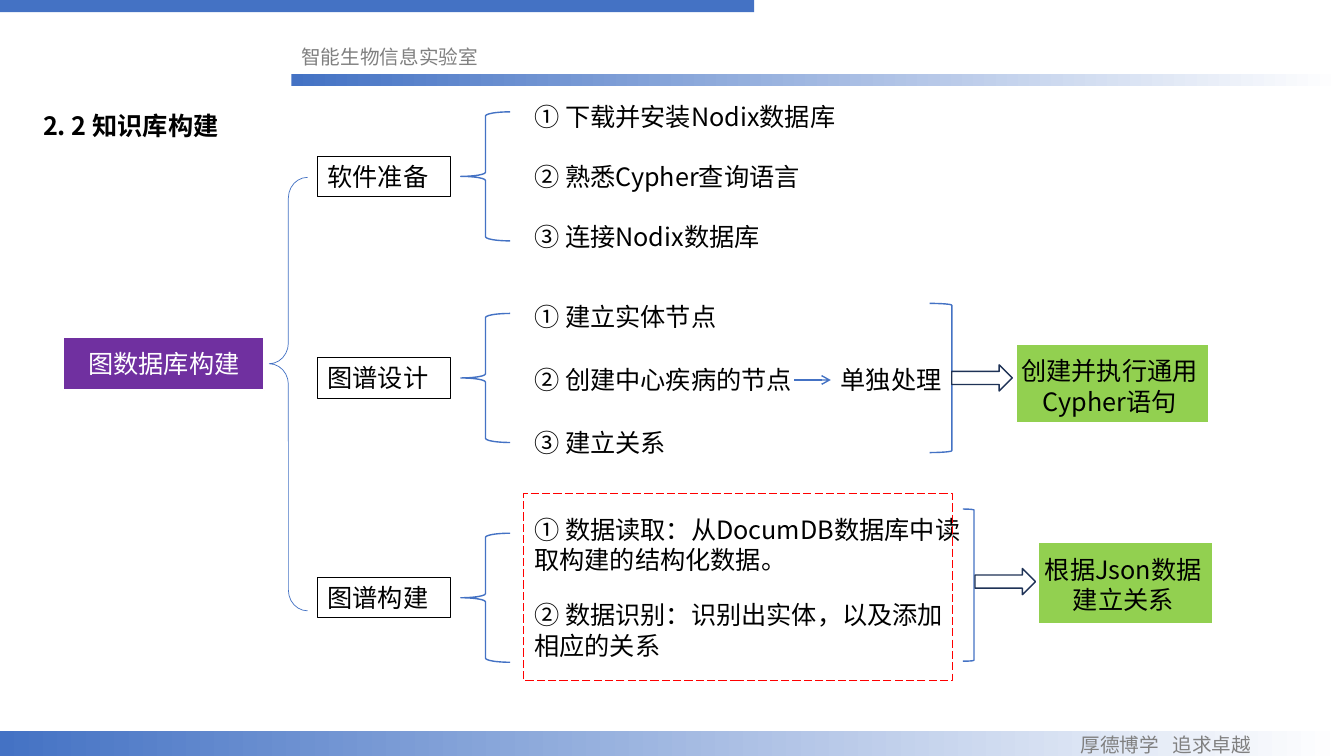
from lxml.etree import SubElement
from pptx import Presentation
from pptx.dml.color import RGBColor
from pptx.enum.dml import MSO_LINE
from pptx.enum.shapes import MSO_CONNECTOR, MSO_SHAPE
from pptx.enum.text import MSO_ANCHOR, MSO_AUTO_SIZE, PP_ALIGN
from pptx.oxml.ns import qn
from pptx.util import Inches, Pt

FONT = "Noto Sans CJK SC"
BLUE, WHITE, BLACK, GRAY = "4472C4", "FFFFFF", "000000", "808080"
PURPLE, GREEN, NAVY, RED = "7030A0", "92D050", "1E3256", "FF0000"

LINE_HEIGHT = 0.4
TWO_LINES = 0.71
ITEM_LEFT = 5.2
BRACE_RISE = 0.44

GRADIENT_BARS = [(2.89, 0.73, 10.42, 0.12), (0, 7.25, 13.33, 0.28)]
MASTHEADS = [
    ("智能生物信息实验室", (2.89, 0.4, 1.97, 0.34)),
    ("厚德博学   追求卓越", (10.62, 7.22, 1.95, 0.34)),
]
TITLE = ("2. 2 知识库构建", (0.33, 1.05, 2.07, LINE_HEIGHT))
ROOT = ("图数据库构建", (0.63, 3.35, 1.99, 0.52))
STAGES = [
    ("软件准备", 1.55, [
        ("① 下载并安装Nodix数据库", 0.96, 3.2, LINE_HEIGHT),
        ("② 熟悉Cypher查询语言", 1.55, 2.87, LINE_HEIGHT),
        ("③ 连接Nodix数据库", 2.15, 2.54, LINE_HEIGHT),
    ]),
    ("图谱设计", 3.55, [
        ("① 建立实体节点", 2.94, 2.22, LINE_HEIGHT),
        ("② 创建中心疾病的节点", 3.57, 2.81, LINE_HEIGHT),
        ("③ 建立关系", 4.19, 1.72, LINE_HEIGHT),
    ]),
    ("图谱构建", 5.73, [
        ("① 数据读取：从DocumDB数据库中读取构建的结构化数据。", 5.05, 4.44, TWO_LINES),
        ("② 数据识别：识别出实体，以及添加相应的关系", 5.9, 4.47, TWO_LINES),
    ]),
]
SPECIAL_CASE = ("单独处理", (8.24, 3.57, 1.5, LINE_HEIGHT))
RESULTS = [
    ("创建并执行通用Cypher语句", (9.22, 3.01, 0.22, 1.48), (9.44, 3.62),
     (10.08, 3.42, 1.91, 0.77), (10.03, 3.48, 1.95, TWO_LINES)),
    ("根据Json数据建立关系", (9.55, 5.05, 0.11, 1.51), (9.67, 5.64),
     (10.3, 5.38, 1.73, 0.81), (10.25, 5.45, 1.78, TWO_LINES)),
]
DASHED_FRAME = (5.19, 4.9, 4.26, 1.85)

presentation = Presentation()
presentation.slide_width = Inches(13.33)
presentation.slide_height = Inches(7.5)
slide = presentation.slides.add_slide(presentation.slide_layouts[6])


def color(value):
    return RGBColor.from_string(value)


def inches(box):
    return [Inches(length) for length in box]


def add_shape(kind, box, fill=None, line=None, width=1, shapes=slide.shapes):
    shape = shapes.add_shape(kind, *inches(box))
    shape.shadow.inherit = False
    if fill:
        shape.fill.solid()
        shape.fill.fore_color.rgb = color(fill)
    else:
        shape.fill.background()
    if line:
        shape.line.color.rgb = color(line)
        shape.line.width = Pt(width)
    else:
        shape.line.fill.background()
    return shape


def write(shape, text, size=18, font_color=BLACK, bold=False,
          align=PP_ALIGN.LEFT, anchor=MSO_ANCHOR.TOP, wrap=True, grow=True):
    frame = shape.text_frame
    frame.text = text
    frame.word_wrap = wrap
    frame.vertical_anchor = anchor
    frame.auto_size = MSO_AUTO_SIZE.SHAPE_TO_FIT_TEXT if grow else MSO_AUTO_SIZE.NONE
    paragraph = frame.paragraphs[0]
    paragraph.alignment = align
    for run in paragraph.runs:
        run.font.name = FONT
        run.font.size = Pt(size)
        run.font.bold = bold
        run.font.color.rgb = color(font_color)
        SubElement(run.font._element, qn("a:ea"), typeface=FONT)


def add_text(text, box, shapes=slide.shapes, **style):
    textbox = shapes.add_textbox(*inches(box))
    write(textbox, text, **style)
    return textbox


add_shape(MSO_SHAPE.RECTANGLE, (0, 0, 7.48, 0.12), BLUE)
for box in GRADIENT_BARS:
    bar = add_shape(MSO_SHAPE.RECTANGLE, box)
    bar.fill.gradient()
    bar.fill.gradient_angle = 0
    for stop, shade in zip(bar.fill.gradient_stops, (BLUE, WHITE)):
        stop.color.rgb = color(shade)
for text, box in MASTHEADS:
    add_text(text, box, size=14, font_color=GRAY, align=PP_ALIGN.JUSTIFY, wrap=False)

add_text(*TITLE, bold=True)
root_text, root_box = ROOT
root = add_shape(MSO_SHAPE.RECTANGLE, root_box, PURPLE, WHITE)
write(root, root_text, font_color=WHITE, align=PP_ALIGN.CENTER,
      anchor=MSO_ANCHOR.MIDDLE, grow=False)
root_brace = add_shape(MSO_SHAPE.LEFT_BRACE, (2.67, 1.76, 0.38, 4.3), line=BLUE, width=0.5)
root_brace.adjustments[0] = 0.54
root_brace.adjustments[1] = 0.43

for name, top, items in STAGES:
    label = add_shape(MSO_SHAPE.RECTANGLE, (3.15, top, 1.32, LINE_HEIGHT),
                      line=BLACK, width=0.75)
    write(label, name)
    add_shape(MSO_SHAPE.LEFT_BRACE, (4.57, top - BRACE_RISE, 0.49, 1.28), line=BLUE)
    for text, item_top, width, height in items:
        add_text(text, (ITEM_LEFT, item_top, width, height))

special_case = add_text(*SPECIAL_CASE)
pointer = slide.shapes.add_connector(
    MSO_CONNECTOR.STRAIGHT, *inches((7.88, 3.77, 8.24, 3.77)))
pointer.end_connect(special_case, 1)
pointer.line.color.rgb = color(BLUE)
pointer.line.width = Pt(1)
SubElement(pointer.line._get_or_add_ln(), qn("a:tailEnd"), type="arrow")
SubElement(pointer._element.spPr, qn("a:effectLst"))

for text, bracket_box, arrow_corner, panel_box, text_box in RESULTS:
    add_shape(MSO_SHAPE.RIGHT_BRACKET, bracket_box, line=BLUE)
    add_shape(MSO_SHAPE.RIGHT_ARROW, (*arrow_corner, 0.6, 0.26), WHITE, NAVY)
    group = slide.shapes.add_group_shape()
    add_shape(MSO_SHAPE.RECTANGLE, panel_box, GREEN, WHITE, shapes=group.shapes)
    add_text(text, text_box, shapes=group.shapes, align=PP_ALIGN.CENTER)

frame = add_shape(MSO_SHAPE.RECTANGLE, DASHED_FRAME, line=RED, width=0.75)
frame.line.dash_style = MSO_LINE.LONG_DASH

presentation.save("out.pptx")
